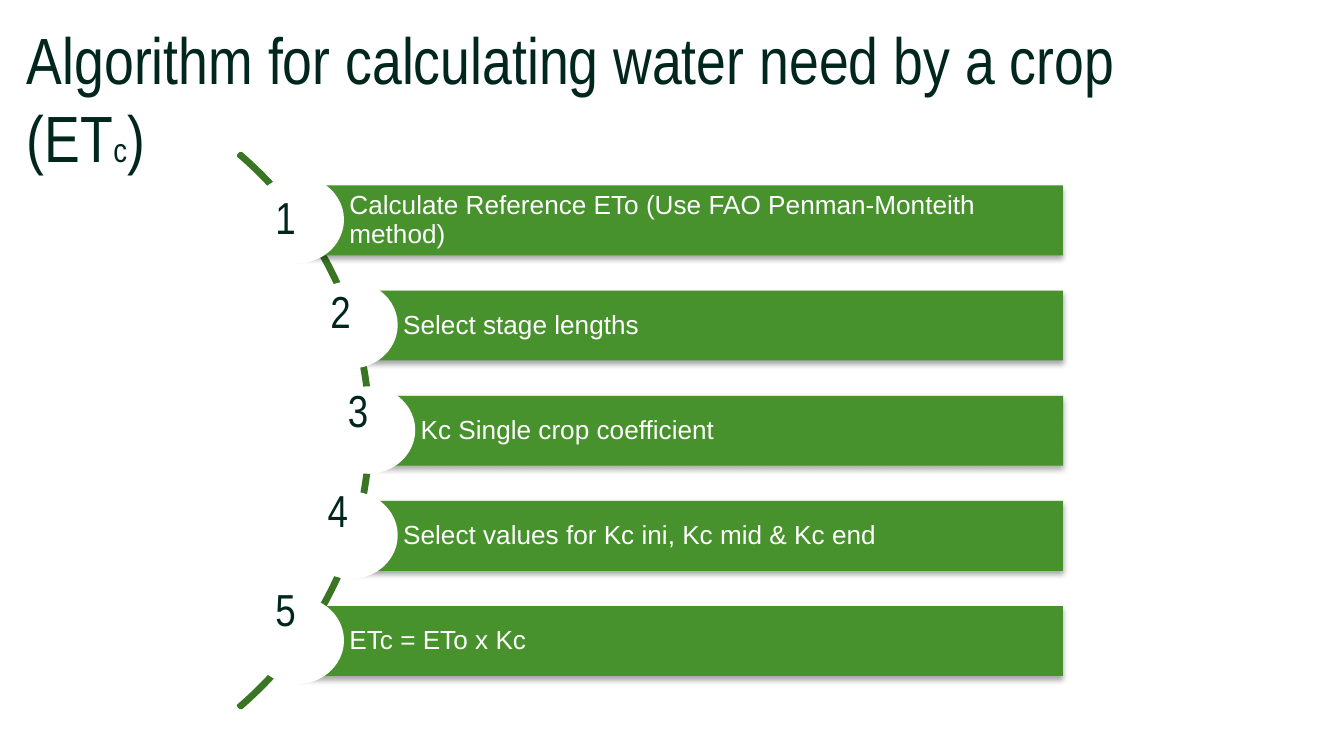
from lxml import etree
from pptx import Presentation
from pptx.dml.color import RGBColor
from pptx.enum.shapes import MSO_SHAPE
from pptx.enum.text import MSO_ANCHOR, MSO_AUTO_SIZE, PP_ALIGN
from pptx.oxml.ns import qn
from pptx.util import Inches, Pt

ARC, RECTANGLE, OVAL = MSO_SHAPE.BLOCK_ARC, MSO_SHAPE.RECTANGLE, MSO_SHAPE.OVAL
TOP, MIDDLE = MSO_ANCHOR.TOP, MSO_ANCHOR.MIDDLE
LEFT = PP_ALIGN.LEFT
NO_AUTOFIT = MSO_AUTO_SIZE.NONE

GREEN, DARK_GREEN, INK, WHITE = "47922C", "397523", "00261E", "FFFFFF"
SLIDE_WIDTH = 10
SLIDE_HEIGHT = SLIDE_WIDTH * 9 / 16
BAR_RIGHT, BAR_HEIGHT = 7.91, 0.52
FIRST_BAR_TOP, LAST_BAR_TOP = 1.38, 4.51

STEPS = [
    ("Calculate Reference ETo (Use FAO Penman-Monteith method)", 2.21, 1.95, 1.36),
    ("Select stage lengths", 2.61, 2.36, 2.06),
    ("Kc Single crop coefficient", 2.74, 2.49, 2.8),
    ("Select values for Kc ini, Kc mid & Kc end", 2.61, 2.34, 3.54),
    ("ETc = ETo x Kc", 2.21, 1.95, 4.28),
]
STEP_PITCH = (LAST_BAR_TOP - FIRST_BAR_TOP) / (len(STEPS) - 1)


def color(hex_value):
    """Turn a hex string into a colour."""
    return RGBColor.from_string(hex_value)


def set_margins(frame, left, top, right, bottom):
    """Set the four insets of a text frame in inches."""
    frame.margin_left, frame.margin_top = Inches(left), Inches(top)
    frame.margin_right, frame.margin_bottom = Inches(right), Inches(bottom)


def style_run(run, font_name, size, hex_value):
    """Give a run its font, size and colour."""
    run.font.name = font_name
    run.font.size = Pt(size)
    run.font.color.rgb = color(hex_value)


def add_filled_shape(slide, preset, left, top, width, height, fill):
    """Add a borderless shape without shadow."""
    shape = slide.shapes.add_shape(
        preset, Inches(left), Inches(top), Inches(width), Inches(height))
    shape.shadow.inherit = False
    shape.fill.solid()
    shape.fill.fore_color.rgb = color(fill)
    shape.line.fill.background()
    return shape


def add_drop_shadow(shape):
    """Cast a soft shadow straight down."""
    effects = shape._element.spPr.find(qn("a:effectLst"))
    shadow = etree.SubElement(
        effects, qn("a:outerShdw"), blurRad=str(Pt(3.1)), dist=str(Pt(1.8)),
        dir="5400000", rotWithShape="0")
    black = etree.SubElement(shadow, qn("a:srgbClr"), val="000000")
    etree.SubElement(black, qn("a:alpha"), val="35000")


def add_title(slide):
    """Fill the title, with a small c as its index."""
    title = slide.shapes.title
    title.left, title.top = Inches(0.1), Inches(0.04)
    title.width, title.height = Inches(8.59), Inches(1.16)
    frame = title.text_frame
    frame.word_wrap = True
    frame.auto_size = NO_AUTOFIT
    frame.vertical_anchor = TOP
    set_margins(frame, 0.1, 0.1, 0.1, 0.1)
    paragraph = frame.paragraphs[0]
    paragraph.alignment = LEFT
    for text, size in (
            ("Algorithm for calculating water need by a crop (ET", 35), ("c", 18), (")", 35)):
        run = paragraph.add_run()
        run.text = text
        style_run(run, "Arial Narrow", size, INK)


def add_arc(slide):
    """Draw the arc that links the steps."""
    arc = slide.shapes.add_shape(
        ARC, Inches(-3.3), Inches(0.39), Inches(6.06), Inches(5.63))
    arc.shadow.inherit = False
    for index, value in enumerate((189, 27, 0.004)):
        arc.adjustments[index] = value
    arc.fill.background()
    arc.line.color.rgb = color(DARK_GREEN)
    arc.line.width = Pt(2)


def add_step(slide, text, left, top):
    """Add a step bar with the white disc at its left end."""
    bar = add_filled_shape(
        slide, RECTANGLE, left, top, BAR_RIGHT - left, BAR_HEIGHT, GREEN)
    add_drop_shadow(bar)
    frame = bar.text_frame
    frame.word_wrap = True
    frame.vertical_anchor = MIDDLE
    set_margins(frame, 0.39, 0.04, 0.04, 0.04)
    frame.text = text
    paragraph = frame.paragraphs[0]
    paragraph.alignment = LEFT
    paragraph.line_spacing = 0.9
    style_run(paragraph.runs[0], "Arial", 14, WHITE)
    add_filled_shape(slide, OVAL, left - 0.35, top - 0.07, 0.7, 0.65, WHITE)


def add_number(slide, number, left, top):
    """Write the number of a step."""
    box = slide.shapes.add_textbox(
        Inches(left), Inches(top), Inches(0.42), Inches(0.54))
    frame = box.text_frame
    frame.word_wrap = True
    frame.text = str(number)
    style_run(frame.paragraphs[0].runs[0], "Arial Narrow", 24, INK)


def main():
    """Build the slide and save it."""
    deck = Presentation()
    deck.slide_width, deck.slide_height = Inches(SLIDE_WIDTH), Inches(SLIDE_HEIGHT)
    slide = deck.slides.add_slide(deck.slide_layouts[5])
    add_title(slide)
    add_arc(slide)
    for index, (text, bar_left, _, _) in enumerate(STEPS):
        add_step(slide, text, bar_left, FIRST_BAR_TOP + index * STEP_PITCH)
    for number, (_, _, number_left, number_top) in enumerate(STEPS, start=1):
        add_number(slide, number, number_left, number_top)
    deck.save("out.pptx")


if __name__ == "__main__":
    main()
